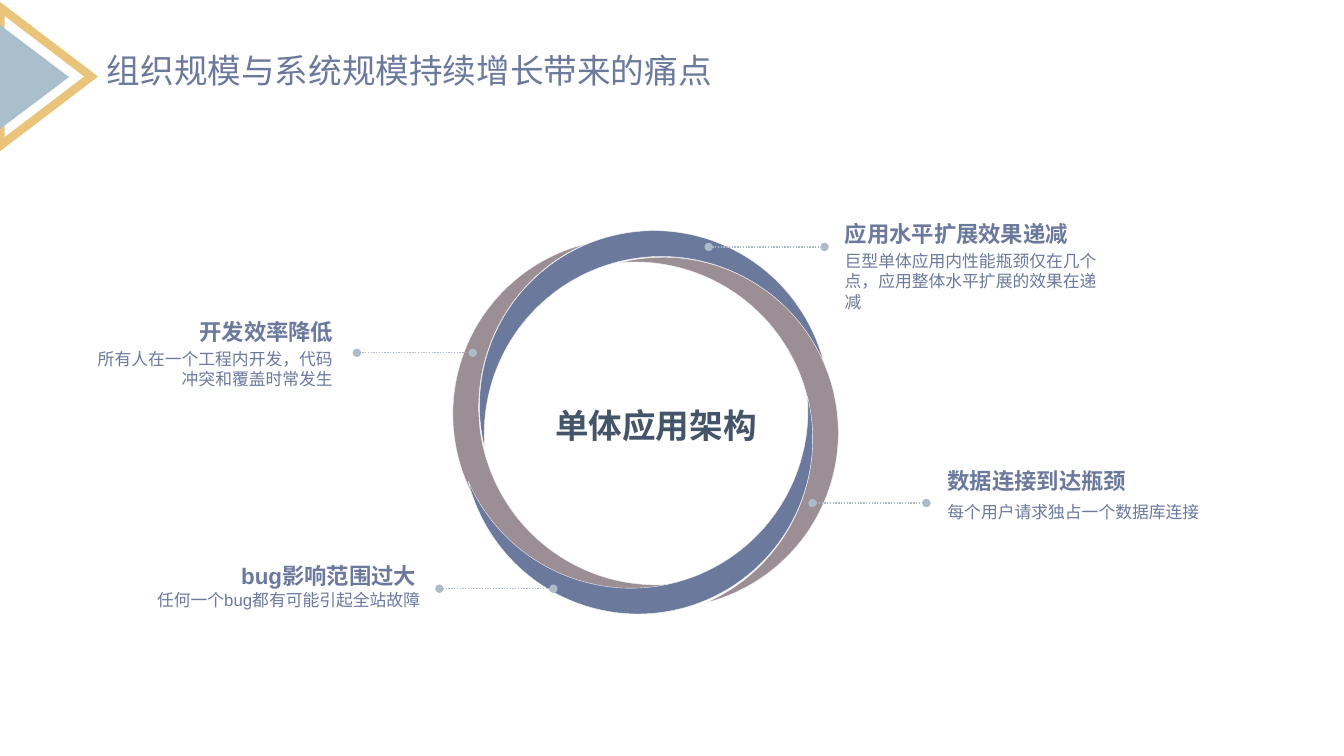
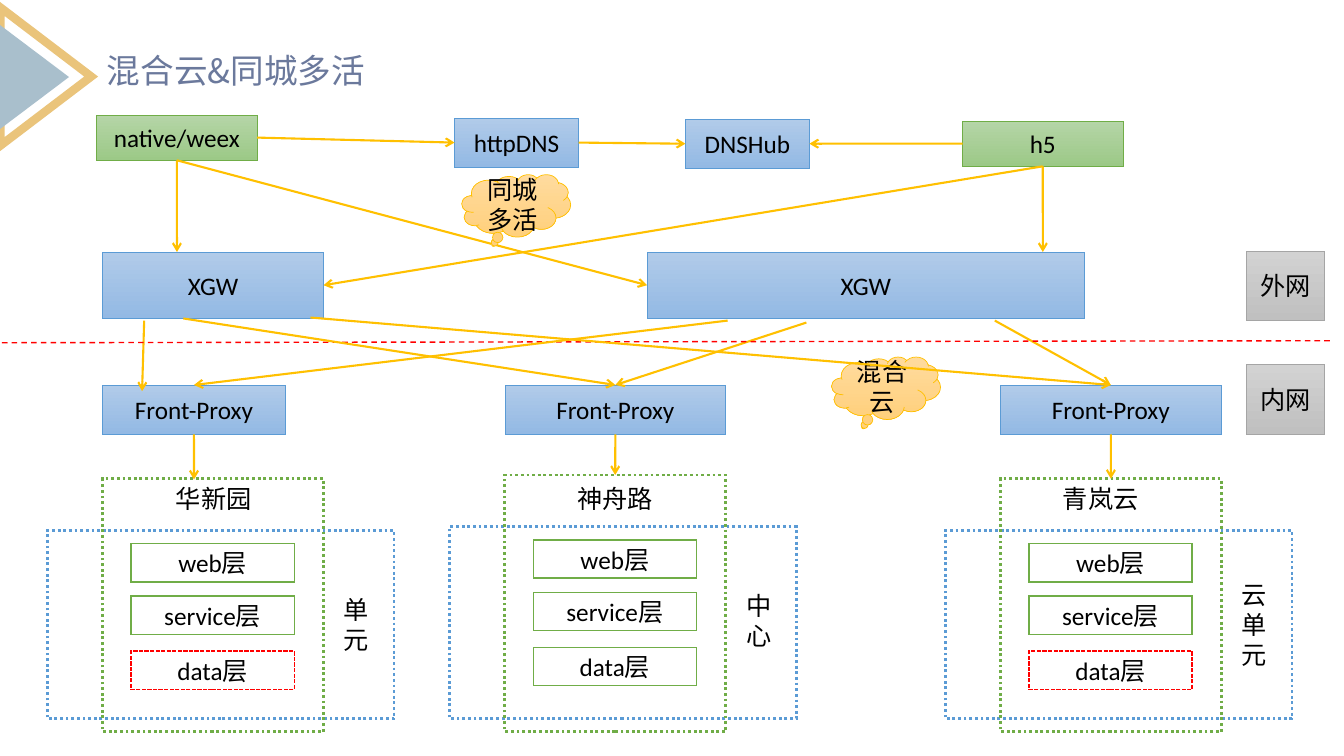
from dataclasses import dataclass
from typing import Optional, Union

from lxml import etree
from pptx import Presentation
from pptx import util as u
from pptx.dml.color import RGBColor
from pptx.enum import dml, shapes, text
from pptx.oxml import ns

NAVY = RGBColor(0x6B, 0x79, 0x9C)
MAUVE = RGBColor(0x9B, 0x8E, 0x95)
INK = RGBColor(0x44, 0x54, 0x69)
PALE = RGBColor(0xF8, 0xF8, 0xF8)
MIST = RGBColor(0xAD, 0xBA, 0xCA)
SAND = RGBColor(0xEA, 0xC4, 0x7B)
TEAL = RGBColor(0xA9, 0xBF, 0xCC)
BLACK = RGBColor(0, 0, 0)
WHITE = RGBColor(0xFF, 0xFF, 0xFF)
RED = RGBColor(0xFF, 0, 0)
ORANGE = RGBColor(0xFF, 0xC0, 0)
BLUE = RGBColor(0x5B, 0x9B, 0xD5)
GREEN = RGBColor(0x70, 0xAD, 0x47)
GREY = RGBColor(0xA5, 0xA5, 0xA5)
BLUE_FADE = (RGBColor(0xB1, 0xCB, 0xE9), RGBColor(0x93, 0xB9, 0xE4))
GREEN_FADE = (RGBColor(0xB5, 0xD5, 0xA7), RGBColor(0x9C, 0xC9, 0x87))
GREY_FADE = (RGBColor(0xD2, 0xD2, 0xD2), RGBColor(0xC0, 0xC0, 0xC0))
ORANGE_FADE = (RGBColor(0xFF, 0xDB, 0x9E), RGBColor(0xFF, 0xD0, 0x7C))

CJK = "Noto Sans CJK SC"
LEFT, CENTER, RIGHT = text.PP_ALIGN.LEFT, text.PP_ALIGN.CENTER, text.PP_ALIGN.RIGHT
TOP, MIDDLE = text.MSO_ANCHOR.TOP, text.MSO_ANCHOR.MIDDLE
PRESET, DASH = shapes.MSO_SHAPE, dml.MSO_LINE
SIDE_TOP, SIDE_LEFT, SIDE_BOTTOM, SIDE_RIGHT = range(4)

Area = tuple[float, float, float, float]
Point = tuple[float, float]


@dataclass(frozen=True)
class Type:
    size: float
    color: RGBColor
    font: str
    bold: bool = False
    align: text.PP_ALIGN = CENTER


@dataclass(frozen=True)
class Stroke:
    color: RGBColor
    width: float
    dash: Optional[dml.MSO_LINE] = None
    head: str = "none"
    tail: str = "none"


@dataclass(frozen=True)
class Caption:
    heading: str
    body: str
    heading_area: Area
    body_area: Area
    align: text.PP_ALIGN
    ring_dot: Point
    text_dot_x: float


@dataclass(frozen=True)
class Node:
    key: str
    label: str
    area: Area
    fade: tuple[RGBColor, RGBColor] = BLUE_FADE
    edge: RGBColor = BLUE
    preset: shapes.MSO_SHAPE = PRESET.RECTANGLE


@dataclass(frozen=True)
class Site:
    name: str
    role: str
    left: float
    top: float
    name_center: float
    data_stroke: Stroke


@dataclass(frozen=True)
class Port:
    key: str
    side: int


@dataclass(frozen=True)
class Link:
    start: Union[Port, Point]
    end: Union[Port, Point]


TITLE = Type(24, NAVY, CJK, align=LEFT)
HUB = Type(24, INK, "Arial", bold=True)
LABEL = Type(18, BLACK, "Calibri")
LEADER = Stroke(MIST, 1, DASH.ROUND_DOT, "oval", "oval")
FLOW = Stroke(ORANGE, 1.5, tail="arrow")
DIVIDER = Stroke(RED, 1, DASH.DASH)
LAYER = Stroke(GREEN, 1)
REMOTE_LAYER = Stroke(RED, 1, DASH.SQUARE_DOT)

MOONS = (
    ((325.4, 185.8, 125.3, 250.6), 345.9, MAUVE),
    ((389.5, 104.4, 125.3, 249.8), 75.9, NAVY),
    ((471.6, 168.5, 125.3, 250.6), 165.9, MAUVE),
    ((408.2, 249.1, 125.3, 249.8), 255.9, NAVY),
)

CAPTIONS = (
    Caption("开发效率降低", "所有人在一个工程内开发，代码冲突和覆盖时常发生",
            (84.2, 227.5, 154, 19.4), (64, 249, 173.8, 28.8), RIGHT, (337.7, 252), 254.9),
    Caption("bug影响范围过大", "任何一个bug都有可能引起全站故障",
            (143.3, 401.8, 154, 19.4), (108, 421.2, 192.2, 28.8), RIGHT, (395.3, 420.5), 313.9),
    Caption("应用水平扩展效果递减", "巨型单体应用内性能瓶颈仅在几个点，应用整体水平扩展的效果在递减",
            (603.4, 157, 179.3, 19.4), (603.4, 179.3, 188, 44), LEFT, (506.2, 176.4), 589),
    Caption("数据连接到达瓶颈", "每个用户请求独占一个数据库连接",
            (676.8, 334, 154, 19.4), (676.8, 358.6, 185, 14.4), LEFT, (580.3, 359.3), 661.7),
)

SITES = (
    Site("华新园", "单元", 33.8, 342, 152.6, REMOTE_LAYER),
    Site("神舟路", "中心", 321.1, 339.3, 439.2, LAYER),
    Site("青岚云", "云单元", 675.2, 342, 786.2, REMOTE_LAYER),
)

NODES = (
    Node("native", "native/weex", (69.1, 82.1, 114.5, 32.4), GREEN_FADE, GREEN),
    Node("h5", "h5", (687.6, 86.4, 114.5, 32.4), GREEN_FADE, GREEN),
    Node("httpDNS", "httpDNS", (324.7, 84.2, 88.6, 35.3)),
    Node("DNS", "DNSHub", (489.6, 85, 88.6, 35.3)),
    Node("west", "XGW", (73.4, 180, 157.7, 47.5)),
    Node("east", "XGW", (462.2, 180, 312.5, 47.5)),
    Node("proxy 1", "Front-Proxy", (73.4, 275, 130.3, 35.3)),
    Node("proxy 2", "Front-Proxy", (360.7, 275, 157.7, 35.3)),
    Node("proxy 3", "Front-Proxy", (714.6, 275, 157.7, 35.3)),
    Node("outer", "外网", (890.6, 179.3, 55.4, 49.7), GREY_FADE, GREY),
    Node("inner", "内网", (890.6, 260.6, 55.4, 49.7), GREY_FADE, GREY),
)

CLOUDS = (
    Node("hybrid", "混合云", (594, 254.9, 77.8, 44.6), ORANGE_FADE, ORANGE, PRESET.CLOUD_CALLOUT),
    Node("city", "同城多活", (329.8, 124.6, 77.8, 44.6), ORANGE_FADE, ORANGE, PRESET.CLOUD_CALLOUT),
)

LINKS_BEHIND_CLOUDS = (
    Link(Port("native", SIDE_RIGHT), Port("httpDNS", SIDE_LEFT)),
    Link(Port("httpDNS", SIDE_RIGHT), Port("DNS", SIDE_LEFT)),
    Link(Port("h5", SIDE_LEFT), Port("DNS", SIDE_RIGHT)),
    Link(Port("native", SIDE_BOTTOM), (126.4, 180)),
    Link(Port("native", SIDE_BOTTOM), Port("east", SIDE_LEFT)),
    Link(Port("h5", SIDE_BOTTOM), (744.9, 180)),
    Link(Port("h5", SIDE_BOTTOM), Port("west", SIDE_RIGHT)),
    Link((103, 229), (101.5, 279.4)),
    Link((576, 230.4), Port("proxy 2", SIDE_TOP)),
    Link((710.6, 229), Port("proxy 3", SIDE_TOP)),
    Link(Port("proxy 1", SIDE_BOTTOM), (138.6, 342.5)),
    Link(Port("proxy 2", SIDE_BOTTOM), Port("神舟路", SIDE_TOP)),
    Link(Port("proxy 3", SIDE_BOTTOM), Port("青岚云", SIDE_TOP)),
)

LINKS_OVER_CLOUDS = (
    Link((519.8, 229), Port("proxy 1", SIDE_TOP)),
    Link((131, 227.5), Port("proxy 2", SIDE_TOP)),
    Link((221.8, 226.8), Port("proxy 3", SIDE_TOP)),
)


def points(values):
    return [u.Pt(value) for value in values]


def write(shape, words: str, style: Type, anchor=MIDDLE, inset: Optional[float] = None) -> None:
    frame = shape.text_frame
    frame.text = words
    frame.word_wrap = True
    frame.auto_size = text.MSO_AUTO_SIZE.NONE
    frame.vertical_anchor = anchor
    if inset is not None:
        frame.margin_left = frame.margin_right = u.Pt(inset)
        frame.margin_top = frame.margin_bottom = u.Pt(inset)
    paragraph = frame.paragraphs[0]
    paragraph.alignment = style.align
    for run in paragraph.runs:
        run.font.size = u.Pt(style.size)
        run.font.bold = style.bold
        run.font.color.rgb = style.color
        run.font.name = style.font
        etree.SubElement(run._r.get_or_add_rPr(), ns.qn("a:ea"), typeface=CJK)


def add_text(slide, area: Area, words: str, style: Type, anchor=TOP,
             inset: Optional[float] = None) -> None:
    write(slide.shapes.add_textbox(*points(area)), words, style, anchor, inset)


def draw_stroke(item, stroke: Stroke) -> None:
    item.line.color.rgb = stroke.color
    item.line.width = u.Pt(stroke.width)
    if stroke.dash is not None:
        item.line.dash_style = stroke.dash
    outline = item._element.spPr.find(ns.qn("a:ln"))
    etree.SubElement(outline, ns.qn("a:miter"), lim="800000")
    for tag, kind in (("a:headEnd", stroke.head), ("a:tailEnd", stroke.tail)):
        if kind != "none":
            etree.SubElement(outline, ns.qn(tag), type=kind)


def add_shape(slide, preset, area: Area, fill: Optional[RGBColor] = None,
              stroke: Optional[Stroke] = None, rotation: float = 0):
    shape = slide.shapes.add_shape(preset, *points(area))
    shape.shadow.inherit = False
    shape.rotation = rotation
    if fill is None:
        shape.fill.background()
    else:
        shape.fill.solid()
        shape.fill.fore_color.rgb = fill
    if stroke is None:
        shape.line.fill.background()
    else:
        draw_stroke(shape, stroke)
    return shape


def add_line(slide, start: Point, end: Point, stroke: Stroke):
    line = slide.shapes.add_connector(shapes.MSO_CONNECTOR.STRAIGHT, *points(start + end))
    draw_stroke(line, stroke)
    etree.SubElement(line._element.spPr, ns.qn("a:effectLst"))
    return line


def add_link(slide, link: Link, joints: dict) -> None:
    free = [(0, 0) if isinstance(end, Port) else end for end in (link.start, link.end)]
    line = add_line(slide, free[0], free[1], FLOW)
    if isinstance(link.start, Port):
        line.begin_connect(joints[link.start.key], link.start.side)
    if isinstance(link.end, Port):
        line.end_connect(joints[link.end.key], link.end.side)


def add_node(slide, node: Node):
    shape = add_shape(slide, node.preset, node.area, stroke=Stroke(node.edge, 0.5))
    shape.fill.gradient()
    shape.fill.gradient_angle = 270
    for stop, color in zip(shape.fill.gradient_stops, node.fade):
        stop.color.rgb = color
    write(shape, node.label, LABEL)
    return shape


def add_site(slide, site: Site):
    bottom, zone_bottom = 522.7, 513.4
    zone_top, frame_left = site.top + 37, site.left + 39.5
    add_shape(slide, PRESET.RECTANGLE, (site.left, zone_top, 247.7, zone_bottom - zone_top),
              WHITE, Stroke(BLUE, 2, DASH.ROUND_DOT))
    frame = add_shape(slide, PRESET.RECTANGLE, (frame_left, site.top, 157.7, bottom - site.top),
                      stroke=Stroke(GREEN, 2, DASH.ROUND_DOT))
    layers = (("web层", 46.3, LAYER), ("service层", 83.8, LAYER), ("data层", 123.1, site.data_stroke))
    for label, drop, stroke in layers:
        layer = add_shape(slide, PRESET.RECTANGLE,
                          (frame_left + 20.3, site.top + drop, 116.6, 27.4), WHITE, stroke)
        write(layer, label, LABEL)
    add_text(slide, (site.name_center - 51, 342, 102, 29), site.name, LABEL)
    add_text(slide, (site.left + 204, site.top + 64, 33.8, 80), site.role, LABEL, MIDDLE)
    return frame


def add_titled_slide(deck, title: str):
    slide = deck.slides.add_slide(deck.slide_layouts[5])
    heading = slide.shapes.title
    heading.left, heading.top, heading.width, heading.height = points((69.1, 31.7, 500, 36))
    write(heading, title, TITLE, TOP)
    add_shape(slide, PRESET.ISOSCELES_TRIANGLE, (-16.6, 22.3, 98.6, 64.8),
              stroke=Stroke(SAND, 6), rotation=90)
    add_shape(slide, PRESET.ISOSCELES_TRIANGLE, (-13, 30.2, 74.9, 49.7), TEAL, rotation=90)
    return slide


def build_pain_points(deck) -> None:
    slide = add_titled_slide(deck, "组织规模与系统规模持续增长带来的痛点")
    for area, rotation, color in MOONS:
        moon = add_shape(slide, PRESET.MOON, area, color, Stroke(PALE, 0.25), rotation)
        moon.adjustments[0] = 0.152
    add_text(slide, (381.6, 285.8, 174, 36), "单体应用架构", HUB)
    for caption in CAPTIONS:
        add_line(slide, caption.ring_dot, (caption.text_dot_x, caption.ring_dot[1]), LEADER)
        add_text(slide, caption.heading_area, caption.heading,
                 Type(16, NAVY, "Arial", True, caption.align), inset=0)
        add_text(slide, caption.body_area, caption.body,
                 Type(12, NAVY, "Arial", align=caption.align), inset=0)


def build_hybrid_cloud(deck) -> None:
    slide = add_titled_slide(deck, "混合云&同城多活")
    joints = {site.name: add_site(slide, site) for site in SITES}
    joints.update({node.key: add_node(slide, node) for node in NODES})
    for link in LINKS_BEHIND_CLOUDS:
        add_link(slide, link, joints)
    for cloud in CLOUDS:
        add_node(slide, cloud)
    add_line(slide, (1.4, 244.8), (950.4, 243.4), DIVIDER)
    for link in LINKS_OVER_CLOUDS:
        add_link(slide, link, joints)


def main() -> None:
    deck = Presentation()
    deck.slide_width, deck.slide_height = points((960, 540))
    build_pain_points(deck)
    build_hybrid_cloud(deck)
    deck.save("out.pptx")


if __name__ == "__main__":
    main()
